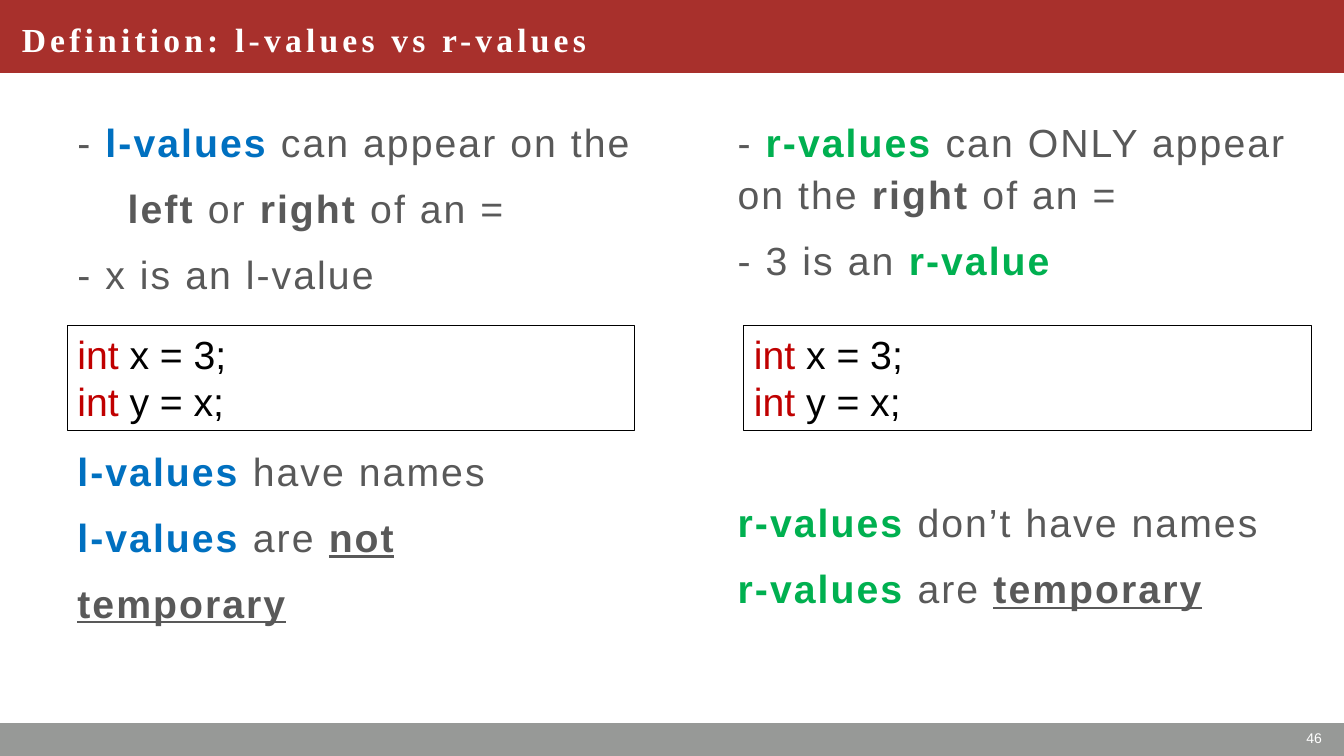
from pptx import Presentation
from pptx.dml.color import RGBColor
from pptx.enum import shapes, text
from pptx.util import Cm, Pt

COLORS = {
    "banner": "A8302C", "footer": "979997", "white": "FFFFFF", "black": "000000",
    "body": "595959", "lvalue": "0070C0", "rvalue": "00B050", "keyword": "C00000",
}
# Run styles: colour, bold, underline
STYLES = {
    "plain": ("body", False, False),
    "strong": ("body", True, False),
    "stress": ("body", True, True),
    "lvalue": ("lvalue", True, False),
    "rvalue": ("rvalue", True, False),
    "keyword": ("keyword", False, False),
    "code": ("black", False, False),
    "title": ("white", True, False),
    "number": ("white", False, False),
}
WIDTH, HEIGHT = 33.87, 19.05
BODY_TOP = 2.74
CODE_TOP, CODE_WIDTH, CODE_HEIGHT = 8.2, 14.3, 2.64

# Each paragraph is a list of (words, style)
L_USE = [
    [("- ", "plain"), ("l-values", "lvalue"), (" can appear on the", "plain")],
    [("left ", "strong"), ("or", "plain"), (" right", "strong"), (" of an =", "plain")],
    [("- x is an l-value", "plain")],
]
L_TRAITS = [
    [("l-values", "lvalue"), (" have names", "plain")],
    [("l-values", "lvalue"), (" are ", "plain"), ("not", "stress")],
    [("temporary", "stress")],
]
R_USE = [
    [("-", "plain"), (" r-values", "rvalue"), (" can ONLY appear on the", "plain"),
     (" right ", "strong"), ("of an =", "plain")],
    [("- 3 is an ", "plain"), ("r-value", "rvalue")],
]
R_TRAITS = [
    [("r-values", "rvalue"), (" don’t have names", "plain")],
    [("r-values", "rvalue"), (" are ", "plain"), ("temporary", "stress")],
]
CODE = [
    [("int", "keyword"), (" x = 3;", "code")],
    [("int", "keyword"), (" y = x;", "code")],
]


def color(name):
    return RGBColor.from_string(COLORS[name])


def write(frame, lines, size=28, face="Arial", tracking=0, align=text.PP_ALIGN.LEFT):
    """Fill a text frame and return its paragraphs."""
    frame.word_wrap = True
    for index, line in enumerate(lines):
        paragraph = frame.add_paragraph() if index else frame.paragraphs[0]
        paragraph.alignment = align
        paragraph.font.size = Pt(size)
        paragraph.font.name = face
        for words, style in line:
            run = paragraph.add_run()
            run.text = words
            tint, run.font.bold, run.font.underline = STYLES[style]
            run.font.color.rgb = color(tint)
            if tracking:
                run.font._element.set("spc", str(int(tracking * 100)))
    return frame.paragraphs


def add_rectangle(slide, left, top, width, height):
    rectangle = slide.shapes.add_shape(
        shapes.MSO_SHAPE.RECTANGLE, Cm(left), Cm(top), Cm(width), Cm(height))
    rectangle.shadow.inherit = False
    return rectangle


def add_label(slide, left, top, width, height, line, **look):
    """One line of text, centred vertically."""
    frame = slide.shapes.add_textbox(Cm(left), Cm(top), Cm(width), Cm(height)).text_frame
    frame.vertical_anchor = text.MSO_ANCHOR.MIDDLE
    write(frame, [line], **look)


def add_band(slide, top, height, fill):
    band = add_rectangle(slide, 0, top, WIDTH, height)
    band.fill.solid()
    band.fill.fore_color.rgb = color(fill)
    band.line.fill.background()


def add_points(slide, left, top, width, height, lines):
    points = slide.shapes.add_textbox(Cm(left), Cm(top), Cm(width), Cm(height))
    paragraphs = write(points.text_frame, lines, tracking=1.5)
    for paragraph in paragraphs:
        paragraph.line_spacing = 1.1
        paragraph.space_after = Pt(10)
    return paragraphs


def add_code(slide, left, top, width, height):
    code = add_rectangle(slide, left, top, width, height)
    code.fill.background()
    code.line.color.rgb = color("black")
    code.line.width = Pt(0.75)
    code.text_frame.vertical_anchor = text.MSO_ANCHOR.TOP
    write(code.text_frame, CODE)


def add_column(slide, left, width, code_left, use, traits, traits_top):
    """Points above and below a code sample; returns the upper paragraphs."""
    upper = add_points(slide, left, BODY_TOP, width, CODE_TOP - BODY_TOP, use)
    add_code(slide, code_left, CODE_TOP, CODE_WIDTH, CODE_HEIGHT)
    add_points(slide, left, traits_top, width, 17 - traits_top, traits)
    return upper


def build_slide(slide):
    # Footer and title banner
    add_band(slide, 18.22, 0.83, "footer")
    add_band(slide, 0, 1.84, "banner")
    add_label(slide, 0.3, 0, 18, 1.96, [("Definition: l-values vs r-values", "title")],
              size=24, face="Times New Roman", tracking=3)
    add_label(slide, 26.06, 18.16, 7.5, 0.89, [("46", "number")],
              size=10, align=text.PP_ALIGN.RIGHT)

    # l-values on the left, with the second line indented
    l_lines = add_column(slide, 1.7, 16, 1.7, L_USE, L_TRAITS, 11.03)
    l_lines[1]._p.get_or_add_pPr().set("indent", str(Cm(1.27)))

    # r-values on the right
    add_column(slide, 18.34, 15.52, 18.75, R_USE, R_TRAITS, 12.32)


def main():
    deck = Presentation()
    deck.slide_width, deck.slide_height = Cm(WIDTH), Cm(HEIGHT)
    build_slide(deck.slides.add_slide(deck.slide_layouts[6]))
    deck.save("out.pptx")


if __name__ == "__main__":
    main()
